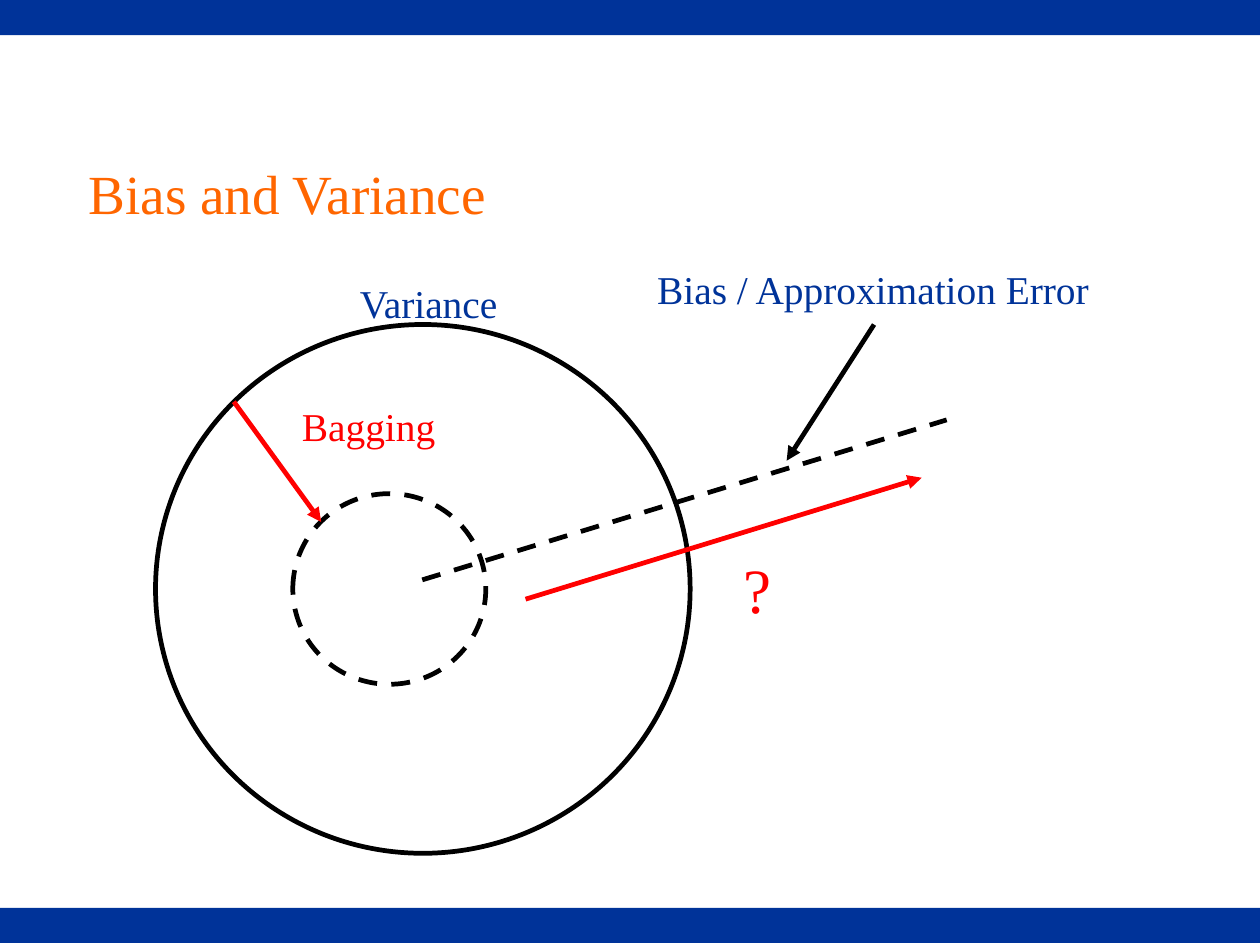
from dataclasses import dataclass

from pptx import Presentation
from pptx.dml.color import RGBColor
from pptx.enum.dml import MSO_LINE
from pptx.enum.shapes import MSO_CONNECTOR, MSO_SHAPE
from pptx.enum.text import MSO_ANCHOR, PP_ALIGN
from pptx.oxml.ns import qn
from pptx.slide import Slide
from pptx.text.text import TextFrame
from pptx.util import Inches, Pt
from lxml.etree import SubElement

# Grid of square cells covering the slide
COLUMNS, ROWS = 111, 83.1
CELL = Inches(0.1)
BAR_ROWS = 3.1

FONT = "Times New Roman"
BLUE, ORANGE, RED, BLACK = "003399", "FF6600", "FF0000", "000000"
LINE_WIDTH = Pt(3)


@dataclass(frozen=True)
class Box:
    column: float
    row: float
    columns: float
    rows: float

    def lengths(self) -> tuple[int, ...]:
        return tuple(cells(n) for n in (self.column, self.row, self.columns, self.rows))


@dataclass(frozen=True)
class Label:
    text: str
    box: Box
    color: str
    size: int = 25


@dataclass(frozen=True)
class Circle:
    box: Box
    dashed: bool = False


@dataclass(frozen=True)
class Line:
    start: tuple[float, float]
    end: tuple[float, float]
    color: str = BLACK
    dashed: bool = False
    arrow: bool = True


TITLE = Label("Bias and Variance", Box(6.7, 10, 79.1, 13.9), ORANGE, 35)
BARS = [Box(0, row, COLUMNS, BAR_ROWS) for row in (0, ROWS - BAR_ROWS)]
VARIANCE_CIRCLE = Circle(Box(13.7, 28.6, 47.1, 46.6))
BAGGED_CIRCLE = Circle(Box(25.8, 43.5, 17, 16.8), dashed=True)
BIAS_LINE = Line((37.2, 51.1), (83.4, 37), dashed=True, arrow=False)
ARROWS = [
    Line((77, 28.6), (69.3, 40.6)),
    Line((20.6, 35.4), (28.3, 46), RED),
    Line((46.3, 52.8), (81.2, 42.1), RED),
]
LABELS = [
    Label("Bias / Approximation Error", Box(56.8, 22.8, 40.6, 5.7), BLUE),
    Label("Bagging", Box(25.5, 34.8, 14.7, 5.7), RED),
    Label("Variance", Box(30.6, 24, 14.7, 5.7), BLUE),
    Label("?", Box(64.4, 47.9, 5.4, 7), RED, 40),
]


def cells(count: float) -> int:
    return round(count * CELL)


def rgb(color: str) -> RGBColor:
    return RGBColor.from_string(color)


def write_text(frame: TextFrame, label: Label) -> None:
    frame.text = label.text
    frame.word_wrap = True
    frame.margin_left = frame.margin_right = Inches(0.11)
    frame.margin_top = frame.margin_bottom = Inches(0.06)
    paragraph = frame.paragraphs[0]
    paragraph.alignment = PP_ALIGN.LEFT
    font = paragraph.runs[0].font
    font.name = FONT
    font.size = Pt(label.size)
    font.color.rgb = rgb(label.color)


def add_title(slide: Slide, label: Label) -> None:
    title = slide.shapes.title
    title.left, title.top, title.width, title.height = label.box.lengths()
    write_text(title.text_frame, label)
    title.text_frame.vertical_anchor = MSO_ANCHOR.MIDDLE


def add_bar(slide: Slide, box: Box) -> None:
    shape = slide.shapes.add_shape(MSO_SHAPE.RECTANGLE, *box.lengths())
    shape.shadow.inherit = False
    shape.fill.solid()
    shape.fill.fore_color.rgb = rgb(BLUE)
    shape.line.fill.background()


def add_circle(slide: Slide, circle: Circle) -> None:
    shape = slide.shapes.add_shape(MSO_SHAPE.OVAL, *circle.box.lengths())
    shape.shadow.inherit = False
    shape.fill.background()
    shape.line.color.rgb = rgb(BLACK)
    shape.line.width = LINE_WIDTH
    if circle.dashed:
        shape.line.dash_style = MSO_LINE.DASH


def add_line(slide: Slide, line: Line) -> None:
    points = [cells(n) for n in (*line.start, *line.end)]
    connector = slide.shapes.add_connector(MSO_CONNECTOR.STRAIGHT, *points)
    connector.line.color.rgb = rgb(line.color)
    connector.line.width = LINE_WIDTH
    if line.dashed:
        connector.line.dash_style = MSO_LINE.DASH
    properties = connector._element.spPr
    if line.arrow:
        SubElement(properties.find(qn("a:ln")), qn("a:tailEnd"), type="triangle")
    SubElement(properties, qn("a:effectLst"))


def add_label(slide: Slide, label: Label) -> None:
    text_box = slide.shapes.add_textbox(*label.box.lengths())
    write_text(text_box.text_frame, label)


def main() -> None:
    presentation = Presentation()
    presentation.slide_width = cells(COLUMNS)
    presentation.slide_height = cells(ROWS)
    slide = presentation.slides.add_slide(presentation.slide_layouts[5])

    # Frame and title
    for bar in BARS:
        add_bar(slide, bar)
    add_title(slide, TITLE)

    # Diagram
    add_line(slide, BIAS_LINE)
    for circle in (VARIANCE_CIRCLE, BAGGED_CIRCLE):
        add_circle(slide, circle)
    for arrow in ARROWS:
        add_line(slide, arrow)
    for label in LABELS:
        add_label(slide, label)

    presentation.save("out.pptx")


if __name__ == "__main__":
    main()
